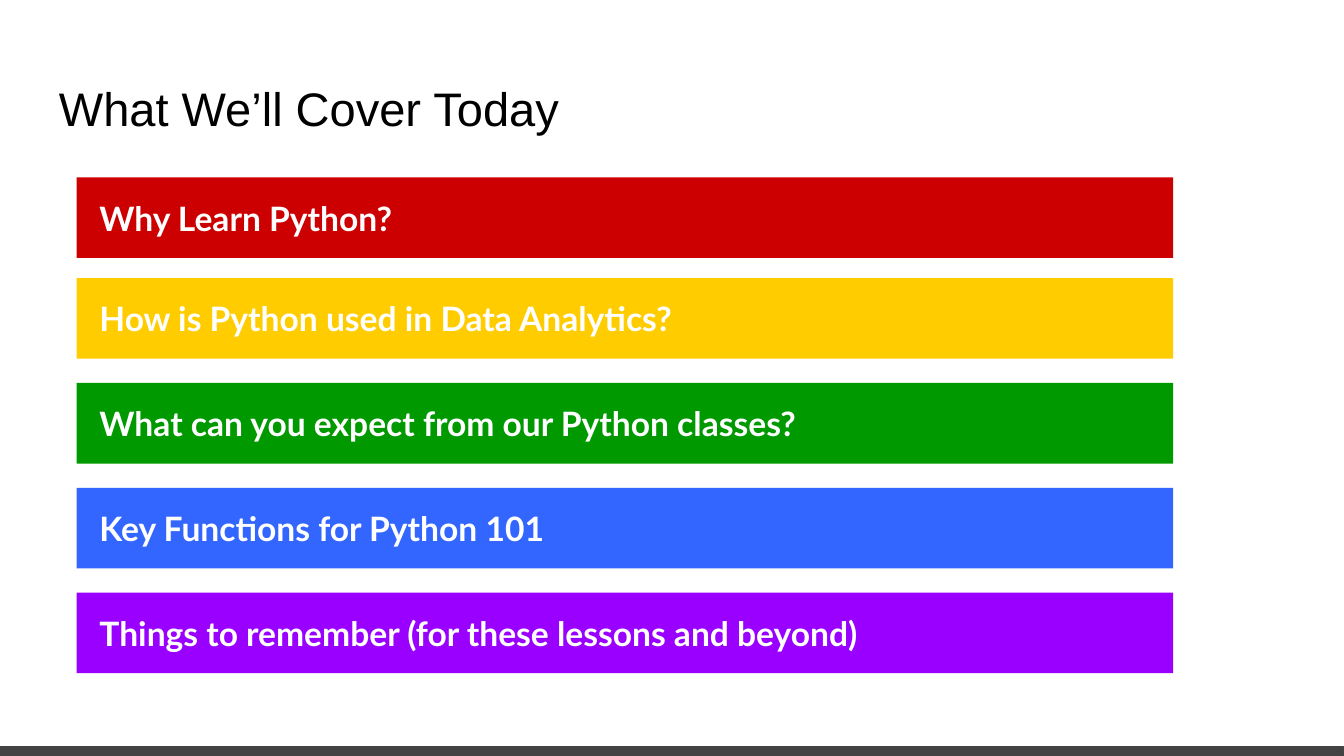
"""Build an agenda slide with a title and five coloured topic bars."""
import pptx
import pptx.dml.color
import pptx.enum.shapes
import pptx.enum.text
import pptx.util

Inches = pptx.util.Inches
Pt = pptx.util.Pt

COLORS = {
    "red": "CC0000",
    "gold": "FFCC00",
    "green": "009900",
    "blue": "3366FF",
    "purple": "9900FF",
    "white": "FFFFFF",
    "black": "000000",
    "gray": "434343",
}
TITLE = "What We’ll Cover Today"
TOPICS = [
    ("Why Learn Python?", "red"),
    ("How is Python used in Data Analytics?", "gold"),
    ("What can you expect from our Python classes?", "green"),
    ("Key Functions for Python 101", "blue"),
    ("Things to remember (for these lessons and beyond)", "purple"),
]
WIDTH = 10
HEIGHT = WIDTH * 9 / 16
FIRST, SECOND, STEP = 1.32, 2.07, 0.78


def color(name):
    return pptx.dml.color.RGBColor.from_string(COLORS[name])


def write(shape, text, font, size, tint, bold=False, pads=(0.1,) * 4):
    frame = shape.text_frame
    frame.word_wrap = True
    frame.vertical_anchor = pptx.enum.text.MSO_ANCHOR.MIDDLE
    left, top, right, bottom = map(Inches, pads)
    frame.margin_left, frame.margin_top = left, top
    frame.margin_right, frame.margin_bottom = right, bottom
    line = frame.paragraphs[0]
    line.alignment = pptx.enum.text.PP_ALIGN.LEFT
    run = line.add_run()
    run.text = text
    run.font.name = font
    run.font.size = Pt(size)
    run.font.bold = bold
    run.font.color.rgb = color(tint)


def block(slide, box, fill):
    kind = pptx.enum.shapes.MSO_SHAPE.RECTANGLE
    shape = slide.shapes.add_shape(kind, *map(Inches, box))
    shape.shadow.inherit = False
    shape.fill.solid()
    shape.fill.fore_color.rgb = color(fill)
    shape.line.fill.background()
    return shape


def main():
    deck = pptx.Presentation()
    deck.slide_width, deck.slide_height = Inches(WIDTH), Inches(HEIGHT)
    slide = deck.slides.add_slide(deck.slide_layouts[6])

    strip = block(slide, (0, 5.56, WIDTH, 0.07), "gray")
    strip.line.color.rgb = color("gray")
    strip.line.width = Pt(1.5)

    for i, (text, fill) in enumerate(TOPICS):
        top = SECOND + (i - 1) * STEP if i else FIRST
        bar = block(slide, (0.57, top, 8.16, 0.6), fill)
        write(bar, text, "Lato", 18, "white", bold=True, pads=(0.17, 0.07, 0.07, 0.07))

    title = slide.shapes.add_textbox(*map(Inches, (0.34, 0.49, 9.32, 0.63)))
    write(title, TITLE, "Arial", 25.2, "black")

    deck.save("out.pptx")


if __name__ == "__main__":
    main()
